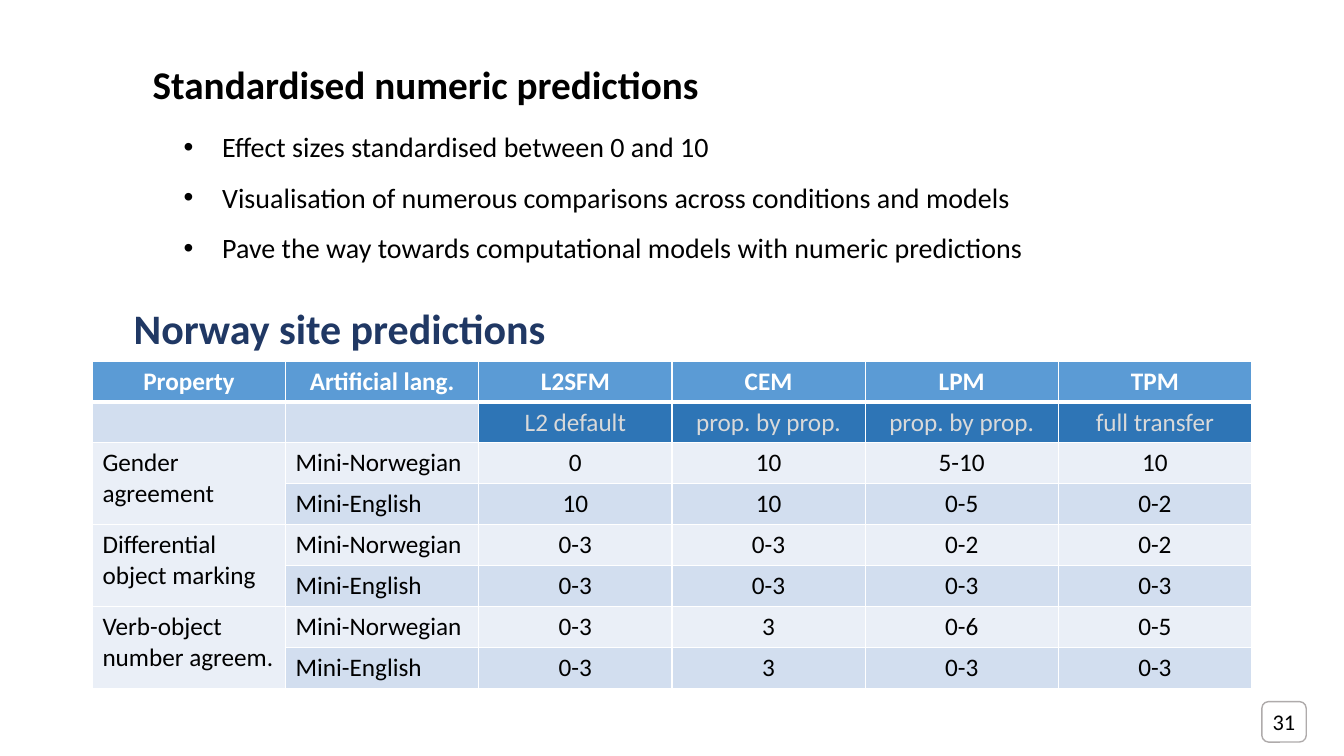
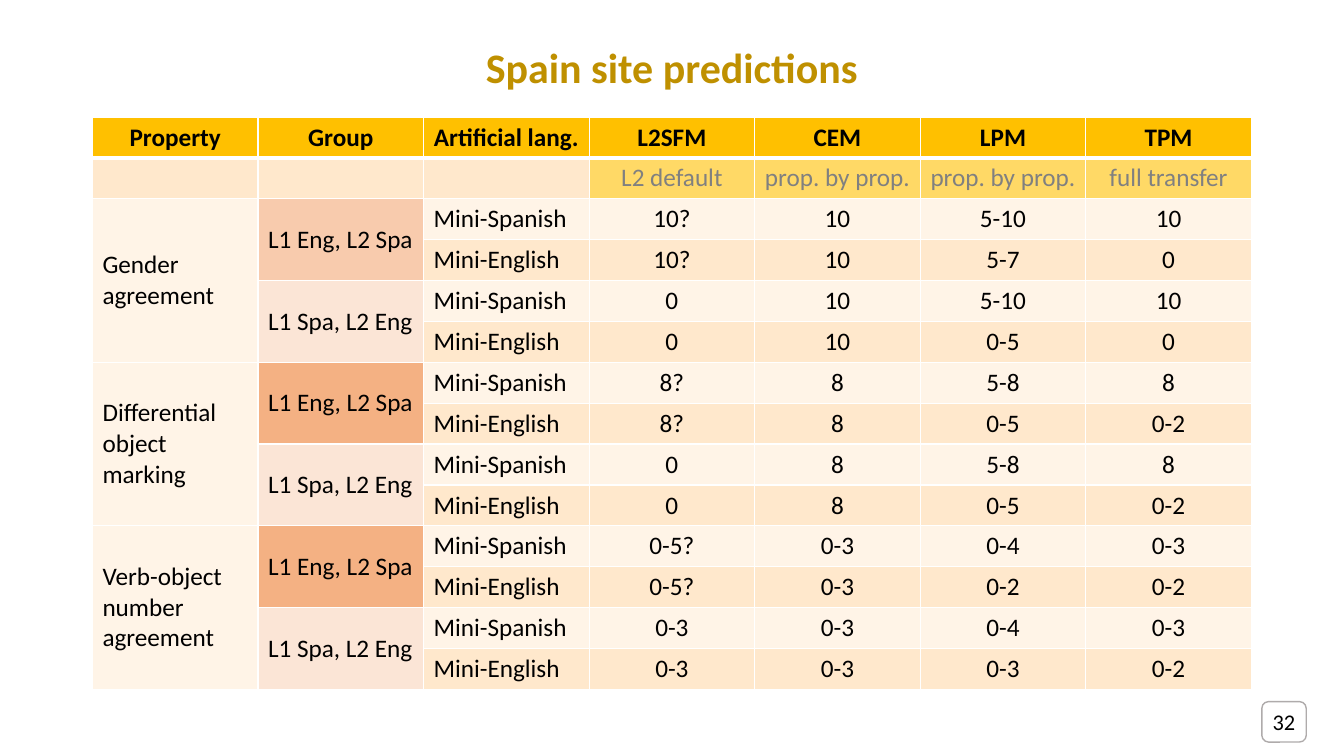
from dataclasses import dataclass, field
from typing import Any, Optional

from lxml import etree
from pptx import Presentation
from pptx.dml.color import RGBColor
from pptx.enum import shapes, text
from pptx.oxml import ns
from pptx.util import Cm, Pt

# Shared style
FONT = "Calibri"
BLACK, WHITE, BADGE_GREY = "000000", "FFFFFF", "AFABAB"
LEFT, WIDTH = Cm(2.33), Cm(29.21)
ROW_HEIGHT = Cm(1.03)
TITLE_SIZE, CELL_SIZE = 30, 18
CENTER = text.PP_ALIGN.CENTER
MIDDLE = text.MSO_ANCHOR.MIDDLE


@dataclass(frozen=True)
class Palette:
    header: str
    header_text: str
    model: str
    model_text: str
    light: str
    dark: str


@dataclass(frozen=True)
class PredictionTable:
    """Rows of cell texts; None continues the cell above."""
    top: float
    label_columns: int
    palette: Palette
    rows: list[tuple[Optional[str], ...]]
    span_anchor: Any = text.MSO_ANCHOR.TOP
    span_fills: dict[tuple[int, int], str] = field(default_factory=dict)


@dataclass(frozen=True)
class Line:
    words: str
    style: dict[str, Any]


def color(hex_code: str) -> RGBColor:
    return RGBColor.from_string(hex_code)


def write(frame: Any, words: str, *, size: float, ink: str = BLACK,
          bold: bool = False, align: Any = None, spacing: Optional[float] = None,
          before: float = 0, margin: float = 0, hanging: float = 0,
          bullet: str = "") -> None:
    """Add one paragraph per line of words to a text frame."""
    for words_line in words.split("\n"):
        paragraph = frame.paragraphs[0]
        if paragraph.runs:
            paragraph = frame.add_paragraph()
        run = paragraph.add_run()
        run.text = words_line
        run.font.name, run.font.size, run.font.bold = FONT, Pt(size), bold
        run.font.color.rgb = color(ink)
        paragraph.alignment = align
        if spacing:
            paragraph.line_spacing = spacing
        if before:
            paragraph.space_before = Pt(before)
        if margin:
            properties = paragraph._p.get_or_add_pPr()
            properties.set("marL", str(Cm(margin)))
            properties.set("indent", str(-Cm(hanging)))
            if bullet:
                etree.SubElement(properties, ns.qn("a:buFont"), typeface="Arial")
                etree.SubElement(properties, ns.qn("a:buChar"), char=bullet)


def add_text(slide: Any, top: float, height: float, lines: list[Line]) -> None:
    frame = slide.shapes.add_textbox(LEFT, Cm(top), WIDTH, Cm(height)).text_frame
    frame.word_wrap = True
    for line in lines:
        write(frame, line.words, **line.style)


def add_page_badge(slide: Any, number: int) -> None:
    badge = slide.shapes.add_shape(shapes.MSO_SHAPE.ROUNDED_RECTANGLE,
                                   Cm(31.8), Cm(17.68), Cm(1.12), Cm(1.02))
    badge.shadow.inherit = False
    badge.fill.background()
    badge.line.color.rgb = color(BADGE_GREY)
    badge.line.width = Pt(1)
    frame = badge.text_frame
    frame.margin_left = frame.margin_right = frame.margin_top = frame.margin_bottom = 0
    frame.vertical_anchor = MIDDLE
    write(frame, str(number), size=16, align=CENTER)


def border_cell(cell: Any, row: int) -> None:
    """White rules, thicker between the header and the model row."""
    thick_side = {0: "B", 1: "T"}.get(row)
    properties = cell._tc.get_or_add_tcPr()
    for side in "LRTB":
        rule = etree.SubElement(properties, ns.qn(f"a:ln{side}"),
                                w=str(Pt(3 if side == thick_side else 1)))
        fill = etree.SubElement(rule, ns.qn("a:solidFill"))
        etree.SubElement(fill, ns.qn("a:srgbClr"), val=WHITE)


def cell_fill(spec: PredictionTable, row: int, column: int) -> str:
    palette = spec.palette
    if row == 0:
        return palette.header
    if row == 1 and column >= spec.label_columns:
        return palette.model
    band = palette.dark if row % 2 else palette.light
    return spec.span_fills.get((row, column), band)


def add_predictions(slide: Any, spec: PredictionTable) -> None:
    row_count, column_count = len(spec.rows), len(spec.rows[0])
    table = slide.shapes.add_table(row_count, column_count, LEFT, Cm(spec.top),
                                   WIDTH, ROW_HEIGHT * row_count).table
    table.horz_banding = False
    for column in table.columns:
        column.width = WIDTH // column_count
    inks = [spec.palette.header_text, spec.palette.model_text]

    for r, row in enumerate(spec.rows):
        table.rows[r].height = ROW_HEIGHT
        for c, words in enumerate(row):
            cell = table.cell(r, c)
            border_cell(cell, r)
            cell.fill.solid()
            cell.fill.fore_color.rgb = color(cell_fill(spec, r, c))
            if not words:
                continue
            last = r
            while last + 1 < row_count and spec.rows[last + 1][c] is None:
                last += 1
            if last > r:
                cell.merge(table.cell(last, c))
                cell.vertical_anchor = spec.span_anchor
            centred = r < 2 or c >= spec.label_columns
            write(cell.text_frame, words, size=CELL_SIZE, bold=r == 0,
                  ink=inks[r] if r < 2 else BLACK,
                  align=CENTER if centred else None)


# Content
MODELS = ("L2SFM", "CEM", "LPM", "TPM")
MODEL_NOTES = ("L2 default", "prop. by prop.", "prop. by prop.", "full transfer")
NORWEGIAN, SPANISH, ENGLISH = "Mini-Norwegian", "Mini-Spanish", "Mini-English"
ENG_SPA, SPA_ENG = "L1 Eng, L2 Spa", "L1 Spa, L2 Eng"

NORWAY = PredictionTable(
    top=9.1,
    label_columns=2,
    palette=Palette("5B9BD5", WHITE, "2E75B6", "D9D9D9", "EAEFF7", "D2DEEF"),
    rows=[
        ("Property", "Artificial lang.", *MODELS),
        ("", "", *MODEL_NOTES),
        ("Gender agreement", NORWEGIAN, "0", "10", "5-10", "10"),
        (None, ENGLISH, "10", "10", "0-5", "0-2"),
        ("Differential object marking", NORWEGIAN, "0-3", "0-3", "0-2", "0-2"),
        (None, ENGLISH, "0-3", "0-3", "0-3", "0-3"),
        ("Verb-object number agreem.", NORWEGIAN, "0-3", "3", "0-6", "0-5"),
        (None, ENGLISH, "0-3", "3", "0-3", "0-3"),
    ])

SPAIN = PredictionTable(
    top=2.95,
    label_columns=3,
    palette=Palette("FFC000", BLACK, "FFD966", "808080", "FFF4E7", "FFE8CC"),
    span_anchor=MIDDLE,
    span_fills={(2, 1): "F8CBAD", (6, 1): "F4B183", (10, 1): "F4B183",
                **{(row, 1): "FBE5D6" for row in (4, 8, 12)}},
    rows=[
        ("Property", "Group", "Artificial lang.", *MODELS),
        ("", "", "", *MODEL_NOTES),
        ("Gender agreement", ENG_SPA, SPANISH, "10?", "10", "5-10", "10"),
        (None, None, ENGLISH, "10?", "10", "5-7", "0"),
        (None, SPA_ENG, SPANISH, "0", "10", "5-10", "10"),
        (None, None, ENGLISH, "0", "10", "0-5", "0"),
        ("Differential\nobject\nmarking", ENG_SPA, SPANISH, "8?", "8", "5-8", "8"),
        (None, None, ENGLISH, "8?", "8", "0-5", "0-2"),
        (None, SPA_ENG, SPANISH, "0", "8", "5-8", "8"),
        (None, None, ENGLISH, "0", "8", "0-5", "0-2"),
        ("Verb-object number agreement", ENG_SPA, SPANISH, "0-5?", "0-3", "0-4", "0-3"),
        (None, None, ENGLISH, "0-5?", "0-3", "0-2", "0-2"),
        (None, SPA_ENG, SPANISH, "0-3", "0-3", "0-4", "0-3"),
        (None, None, ENGLISH, "0-3", "0-3", "0-3", "0-2"),
    ])

BULLET = dict(size=20, spacing=1.5, margin=3.02, hanging=0.97, bullet="•")
NORWAY_TEXT = [
    Line("Standardised numeric predictions", dict(size=28, bold=True, margin=1.27)),
    Line("Effect sizes standardised between 0 and 10", dict(BULLET, before=4)),
    Line("Visualisation of numerous comparisons across conditions and models", BULLET),
    Line("Pave the way towards computational models with numeric predictions", BULLET),
    Line("Norway site predictions", dict(size=TITLE_SIZE, bold=True, ink="203864",
                                         spacing=1.5, before=9, margin=0.79)),
]
SPAIN_TEXT = [Line("Spain site predictions", dict(size=TITLE_SIZE, bold=True,
                                                  ink="BF9000", align=CENTER))]


def main() -> None:
    deck = Presentation()
    deck.slide_width, deck.slide_height = Cm(33.87), Cm(19.05)
    pages = [(NORWAY, 1.4, 7.54, NORWAY_TEXT), (SPAIN, 0.91, 1.55, SPAIN_TEXT)]
    for number, (predictions, top, height, lines) in enumerate(pages, start=31):
        slide = deck.slides.add_slide(deck.slide_layouts[6])
        add_page_badge(slide, number)
        add_predictions(slide, predictions)
        add_text(slide, top, height, lines)
    deck.save("out.pptx")


if __name__ == "__main__":
    main()
